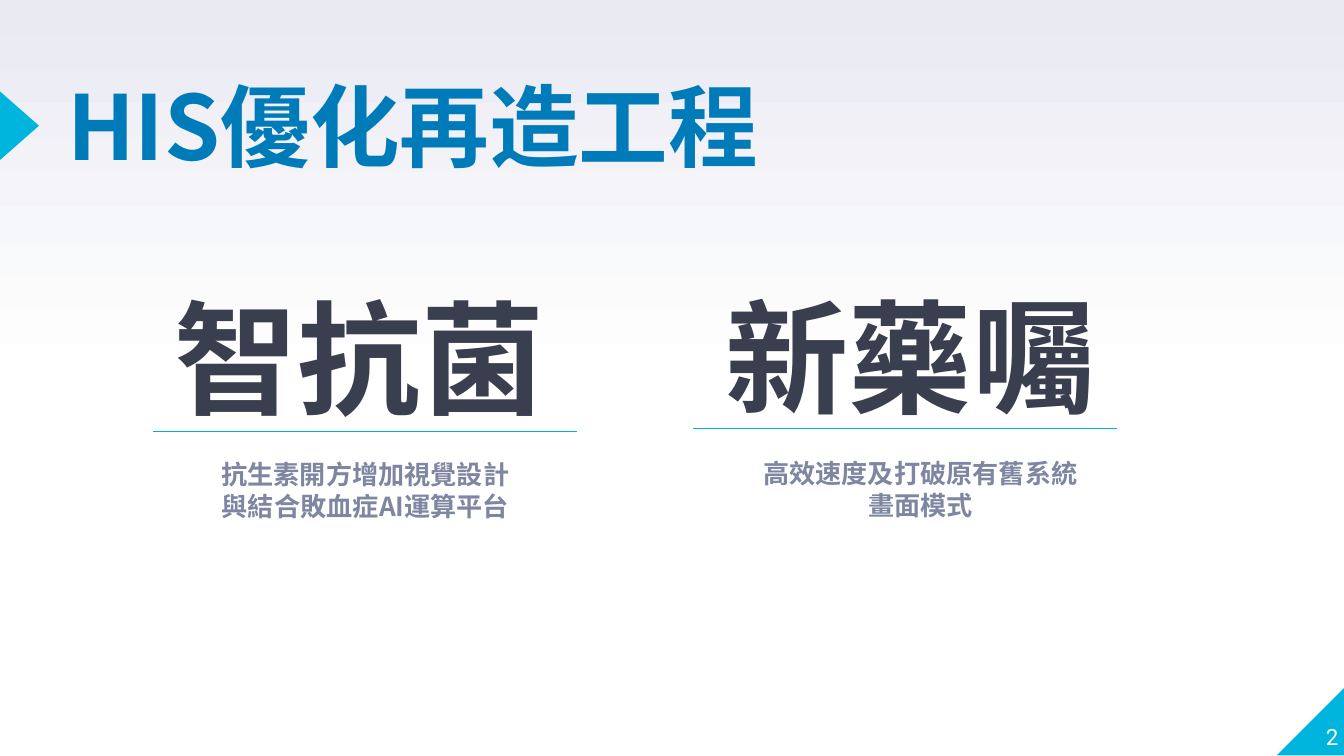
from copy import deepcopy

from pptx import Presentation
from pptx.dml.color import RGBColor
from pptx.enum.shapes import MSO_CONNECTOR as Connector, MSO_SHAPE as Shape
from pptx.enum.text import MSO_ANCHOR as Anchor, PP_ALIGN as Align
from pptx.oxml.ns import qn
from pptx.util import Pt
from lxml.etree import SubElement

COLORS = {
    "white": "FFFFFF",
    "haze": "E9EAF2",
    "accent": "00B5DD",
    "rule": "00B1D8",
    "title": "007BB9",
    "heading": "3A3F50",
    "caption": "7E86A1",
}
CJK_FONT = "Noto Sans CJK SC"


def color(name):
    return RGBColor.from_string(COLORS[name])


def write(shape, lines, size, color_name, align, spacing=None,
          font=CJK_FONT, anchor=Anchor.TOP, insets=(0, 0)):
    frame = shape.text_frame
    frame.word_wrap = True
    frame.vertical_anchor = anchor
    frame.margin_left = frame.margin_right = Pt(insets[0])
    frame.margin_top = frame.margin_bottom = Pt(insets[1])
    frame.text = "\n".join(lines)
    for para in frame.paragraphs:
        para.alignment = align
        para.line_spacing = spacing
        para.font.name = font
        para.font.size = Pt(size)
        para.font.bold = font == CJK_FONT
        para.font.color.rgb = color(color_name)
        # East Asian glyphs need their own typeface entry on the run
        for span in para.runs:
            SubElement(span.font._element, qn("a:ea"), typeface=font)


deck = Presentation()
deck.slide_width, deck.slide_height = Pt(720), Pt(405)
page = deck.slides.add_slide(deck.slide_layouts[5])

# Background: white in the lower half, fading to haze at the top
fill = page.background.fill
fill.gradient()
fill.gradient_angle = 90
for stop, name in zip(fill.gradient_stops, ("white", "haze")):
    stop.color.rgb = color(name)
first_stop = next(page.background._cSld.iter(qn("a:gs")))
middle_stop = deepcopy(first_stop)
middle_stop.set("pos", "50000")
first_stop.addnext(middle_stop)

# Corner and title marker
corner = page.shapes.add_shape(
    Shape.RIGHT_TRIANGLE, Pt(684), Pt(368), Pt(36.7), Pt(36.7))
corner._element.spPr.find(qn("a:xfrm")).set("flipH", "1")
marker = page.shapes.add_shape(
    Shape.ISOSCELES_TRIANGLE, Pt(-7.9), Pt(56.9), Pt(36.7), Pt(20.9))
marker.rotation = 90
for triangle in (corner, marker):
    triangle.shadow.inherit = False
    triangle.fill.solid()
    triangle.fill.fore_color.rgb = color("accent")
    triangle.line.fill.background()

# Title
title = page.shapes.title
title.left, title.top, title.width, title.height = Pt(36), Pt(47.5), Pt(444), Pt(85)
write(title, ["HIS優化再造工程"], 48, "title", Align.LEFT, Pt(48))

# Two columns: heading, rule, caption
columns = [
    ("智抗菌", ["抗生素開方增加視覺設計", "與結合敗血症AI運算平台"],
     (70.6, 140.4), (82.1, 231.1), (96.5, 241.9)),
    ("新藥囑", ["高效速度及打破原有舊系統", "畫面模式"],
     (365.8, 139.7), (371.5, 229.7), (393.8, 241.2)),
]
for heading, caption, heading_at, rule_at, caption_at in columns:
    box = page.shapes.add_textbox(*map(Pt, heading_at), Pt(244), Pt(85))
    write(box, [heading], 66, "heading", Align.CENTER, Pt(90))

    x, y = rule_at
    rule = page.shapes.add_connector(
        Connector.STRAIGHT, Pt(x), Pt(y), Pt(x + 226.8), Pt(y))
    rule.line.color.rgb = color("rule")
    rule.line.width = Pt(0.75)
    SubElement(rule._element.spPr, qn("a:effectLst"))

    box = page.shapes.add_textbox(*map(Pt, caption_at), Pt(198.7), Pt(41))
    write(box, caption, 14, "caption", Align.CENTER, Pt(17), insets=(7.2, 3.6))

# Page number
number = page.shapes.add_textbox(Pt(681), Pt(365), Pt(36), Pt(36.7))
write(number, ["2"], 12, "white", Align.RIGHT, font="Roboto", anchor=Anchor.BOTTOM)

deck.save("out.pptx")
